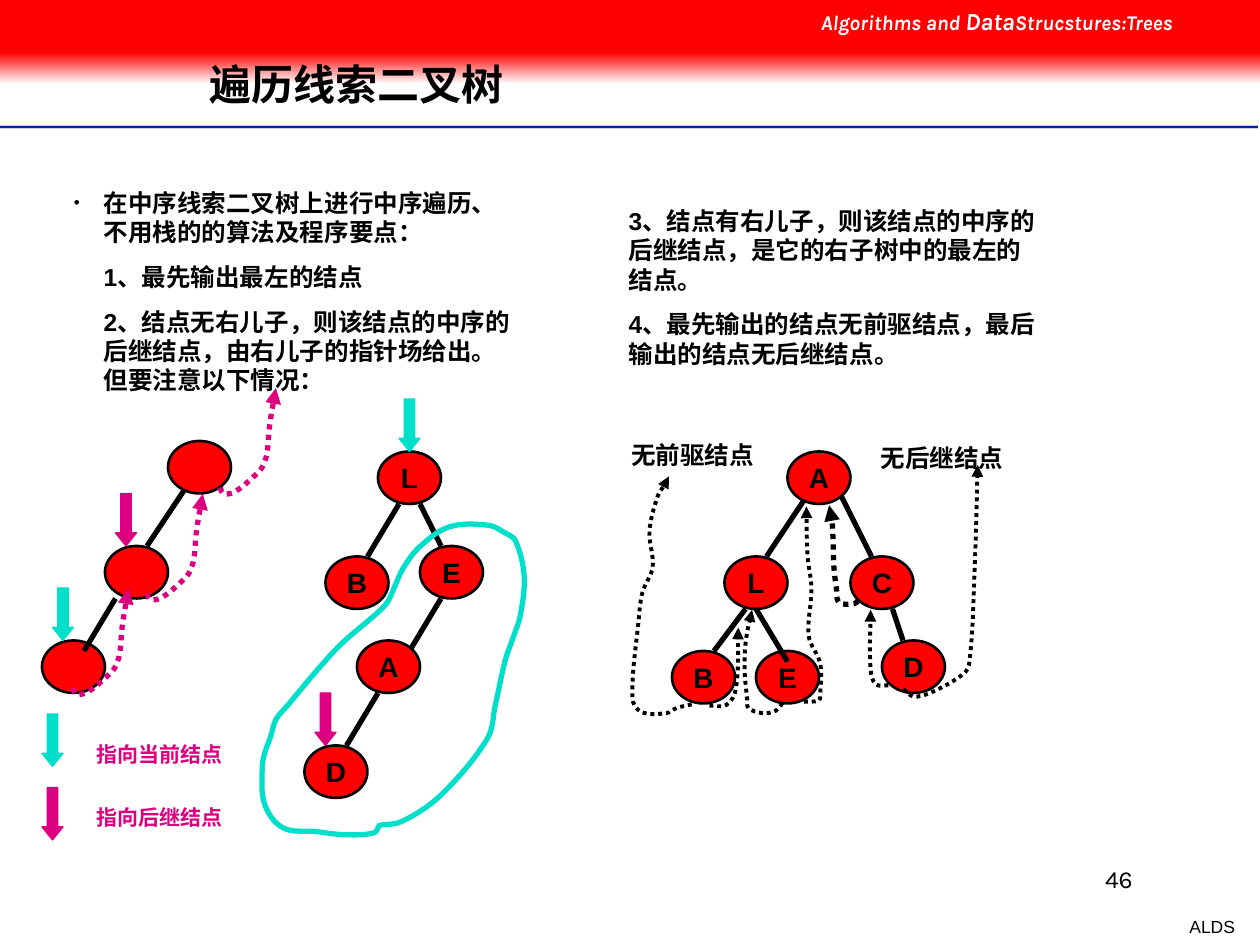
from dataclasses import dataclass
from math import dist

from lxml.etree import SubElement
from pptx import Presentation
from pptx.dml.color import RGBColor
from pptx.enum.dml import MSO_LINE
from pptx.enum.shapes import MSO_CONNECTOR, MSO_SHAPE
from pptx.enum.text import MSO_ANCHOR, MSO_AUTO_SIZE, PP_ALIGN
from pptx.oxml.ns import qn
from pptx.util import Pt

COLORS = {"red": "FF0000", "black": "000000", "white": "FFFFFF", "grey": "CECECE",
          "blue": "00279F", "teal": "00DFCA", "magenta": "DC0081"}
NODE_SIZE = (36, 30)
ARROW_SIZE = (12, 30)


@dataclass
class Node:
    x: float
    y: float
    label: str = ""


@dataclass
class Track:
    points: list
    color: str = "black"
    width: float = 2.25
    dotted: bool = True


@dataclass
class Label:
    box: tuple
    spans: list  # (text, size) pairs
    font: str = "Arial"
    color: str = "black"
    align: PP_ALIGN = PP_ALIGN.LEFT
    wrap: bool = True
    bold: bool = True
    italic: bool = False


def rgb(color: str) -> RGBColor:
    return RGBColor.from_string(COLORS[color])


def add_span(para, text: str, color: str = "black", **font_values) -> None:
    span = para.add_run()
    span.text = text
    for name, value in font_values.items():
        setattr(span.font, name, value)
    span.font.color.rgb = rgb(color)


def place(box, left: float, top: float, width: float, height: float) -> None:
    frame = {"left": left, "top": top, "width": width, "height": height}
    for name, value in frame.items():
        setattr(box, name, Pt(value))


def add_shape(page, kind, box: tuple, fill: str, outline: str = "", width: float = 0.75):
    shape = page.shapes.add_shape(kind, *map(Pt, box))
    shape.shadow.inherit = False
    shape.fill.solid()
    shape.fill.fore_color.rgb = rgb(fill)
    if outline:
        shape.line.color.rgb = rgb(outline)
        shape.line.width = Pt(width)
    else:
        shape.line.fill.background()
    return shape


def add_line(page, ends: tuple, color: str = "black", width: float = 3) -> None:
    line = page.shapes.add_connector(MSO_CONNECTOR.STRAIGHT, *map(Pt, ends))
    line.line.color.rgb = rgb(color)
    line.line.width = Pt(width)
    SubElement(line.element.spPr, qn("a:effectLst"))


def add_node(page, node: Node) -> None:
    shape = add_shape(page, MSO_SHAPE.OVAL, (node.x, node.y, *NODE_SIZE), "red", "black", 1.5)
    if node.label:
        shape.text_frame.word_wrap = False
        shape.text_frame.vertical_anchor = MSO_ANCHOR.MIDDLE
        para = shape.text_frame.paragraphs[0]
        para.alignment = PP_ALIGN.CENTER
        add_span(para, node.label, name="Arial", size=Pt(16), bold=True)


def add_down_arrow(page, x: float, y: float, color: str) -> None:
    arrow = add_shape(page, MSO_SHAPE.DOWN_ARROW, (x, y, *ARROW_SIZE), color, color)
    arrow.adjustments[0], arrow.adjustments[1] = 0.5, 0.62


def smooth(shape) -> None:
    """Turn each straight segment of a freeform into a curve through the same points."""
    segments = list(shape.element.iter(qn("a:moveTo"), qn("a:lnTo")))
    points = [(int(s[0].get("x")), int(s[0].get("y"))) for s in segments]
    tangents = []
    for i in range(len(points)):
        before, after = points[max(i - 1, 0)], points[min(i + 1, len(points) - 1)]
        length = dist(before, after) or 1
        tangents.append([(b - a) / length for a, b in zip(before, after)])
    for i, segment in enumerate(segments[1:], 1):
        reach = dist(points[i - 1], points[i]) / 3
        first = [p + t * reach for p, t in zip(points[i - 1], tangents[i - 1])]
        second = [p - t * reach for p, t in zip(points[i], tangents[i])]
        segment.tag = qn("a:cubicBezTo")
        segment.remove(segment[0])
        for x, y in (first, second, points[i]):
            SubElement(segment, qn("a:pt"), x=str(round(x)), y=str(round(y)))


def add_track(page, track: Track) -> None:
    start, *rest = [(Pt(x), Pt(y)) for x, y in track.points]
    builder = page.shapes.build_freeform(*start)
    builder.add_line_segments(rest, close=not track.dotted)
    shape = builder.convert_to_shape()
    smooth(shape)
    shape.shadow.inherit = False
    shape.fill.background()
    shape.line.color.rgb = rgb(track.color)
    shape.line.width = Pt(track.width)
    if track.dotted:
        shape.line.dash_style = MSO_LINE.ROUND_DOT
        SubElement(shape.element.spPr.find(qn("a:ln")), qn("a:tailEnd"), type="triangle")


def add_label(page, label: Label) -> None:
    frame = page.shapes.add_textbox(*map(Pt, label.box)).text_frame
    frame.word_wrap = label.wrap
    para = frame.paragraphs[0]
    para.alignment = label.align
    for text, size in label.spans:
        add_span(para, text, label.color, name=label.font, size=Pt(size),
                 bold=label.bold, italic=label.italic)


def fill_body(body, box: tuple, lines: list, bulleted: bool) -> None:
    place(body, *box)
    frame = body.text_frame
    frame.auto_size = MSO_AUTO_SIZE.NONE
    frame.vertical_anchor = MSO_ANCHOR.TOP
    for i, text in enumerate(lines):
        para = frame.add_paragraph() if i else frame.paragraphs[0]
        properties = para._p.get_or_add_pPr()
        has_bullet = bulleted and i == 0
        indents = {"marL": Pt(52), "indent": Pt(-17 if has_bullet else 0), "hangingPunct": 0}
        for name, value in indents.items():
            properties.set(name, str(value))
        if has_bullet:
            SubElement(SubElement(properties, qn("a:buClr")), qn("a:srgbClr"), val=COLORS["black"])
            SubElement(properties, qn("a:buSzPct"), val="70000")
            SubElement(properties, qn("a:buChar"), char="•")
        else:
            SubElement(properties, qn("a:buNone"))
        para.space_before = Pt(8.8 if i else 0)
        add_span(para, text, name="Arial", size=Pt(14), bold=True)


LEFT_LINES = ["在中序线索二叉树上进行中序遍历、不用栈的的算法及程序要点：", "1、最先输出最左的结点",
              "2、结点无右儿子，则该结点的中序的后继结点，由右儿子的指针场给出。但要注意以下情况："]
RIGHT_LINES = ["3、结点有右儿子，则该结点的中序的后继结点，是它的右子树中的最左的结点。",
               "4、最先输出的结点无前驱结点，最后输出的结点无后继结点。"]
NODES = [Node(24, 366), Node(60, 312), Node(96, 252),
         Node(186, 318, "B"), Node(174, 426, "D"), Node(240, 312, "E"), Node(216, 258, "L"),
         Node(204, 366, "A"), Node(384, 372, "B"), Node(486, 318, "C"), Node(504, 366, "D"),
         Node(432, 372, "E"), Node(414, 318, "L"), Node(450, 258, "A")]
EDGES_BEHIND = [(108, 276, 84, 312), (252, 342, 234, 372), (216, 396, 198, 426),
                (240, 288, 252, 312), (228, 288, 210, 318), (462, 282, 438, 318),
                (480, 282, 498, 318), (510, 348, 516, 366), (426, 348, 408, 372)]
EDGES_IN_FRONT = [(66, 342, 48, 372), (432, 348, 450, 378)]
SUCCESSOR_STARTS = [(84.2, 339.1), (41.8, 393.1), (126, 278.6)]
SUCCESSOR_STEPS = [(0, 0), (1.5, 3.5), (8.6, 2.2), (22.3, -9.4), (24.5, -13), (26.6, -19.4),
                   (28.1, -35.3), (31.7, -56.9)]
TRACKS = [Track([(x + dx, y + dy) for dx, dy in SUCCESSOR_STEPS], "magenta", 3)
          for x, y in SUCCESSOR_STARTS] + [
    Track([(490.3, 343.4), (488.2, 344.9), (479.5, 344.2), (478.1, 337), (476.6, 324.7),
           (475.9, 304.6), (475.2, 294.5), (473.8, 288.7)], width=3),
    Track([(507.6, 391.7), (500.4, 391), (497.5, 382.3), (497.5, 348.5)]),
    Track([(459.4, 401), (468, 400.3), (468.7, 397.4), (468.7, 379.1), (462.2, 363.6),
           (463.7, 336.2), (461.5, 317.5), (460.8, 289.4)]),
    Track([(447.1, 401.8), (443.5, 406.1), (435.6, 407.5), (427.7, 404.6), (427, 399.6),
           (425.5, 382.5), (426.2, 366.5), (429.8, 348.5)]),
    Track([(405.4, 403.2), (415.1, 402.8), (420.5, 393.8), (421.9, 358.6)]),
    Track([(516.2, 393.8), (522, 398), (531.4, 396), (548.6, 386.6), (553.7, 380.2),
           (557, 324), (558.7, 265.7)]),
    Track([(395.3, 402.5), (386.6, 404.6), (380.9, 407.5), (366.5, 406.8), (361.4, 398.9),
           (365, 354.2), (367.2, 338.4), (373, 324), (371.2, 303.5), (375.8, 283.7),
           (380.2, 276.5), (382.3, 272.2)]),
    Track([(216.7, 471.6), (229.7, 469.4), (252, 454.3), (278.6, 421.9), (283, 403.2),
           (288.7, 377.3), (293, 365), (297.4, 351.4), (299.5, 329), (294.5, 308.9),
           (288.7, 304.6), (279.4, 300.2), (257, 301), (239.8, 312.5), (230.4, 324.7),
           (225.4, 335.5), (220.3, 345.6), (195.1, 367.9), (179.3, 385.2), (164.9, 402.5),
           (157.7, 411.1), (154.8, 420.5), (151.2, 430.6), (149.8, 438.5), (151.2, 459.4),
           (161.6, 473), (180.7, 475.2), (197, 477), (213.8, 475.9), (216.7, 471.6)],
          "teal", 3, dotted=False)]
DOWN_ARROWS = [(30, 336, "teal"), (228, 228, "teal"), (180, 396, "magenta"),
               (66, 282, "magenta"), (24, 408, "teal"), (24, 450, "magenta")]
LABELS = [
    Label((462, 0, 258, 24.5), [("Algorithms and ", 12), ("Data", 14), ("Strucstures:Trees", 12)],
          "Karla", "white", italic=True),
    Label((672.5, 520, 40.3, 19.4), [("ALDS", 10)], align=PP_ALIGN.RIGHT, wrap=False, bold=False),
    Label((516.2, 490.3, 138.2, 36), [("46", 14)], "Karla", align=PP_ALIGN.RIGHT, bold=False),
    Label((348, 247.7, 90, 24.5), [("无前驱结点", 14)], align=PP_ALIGN.RIGHT),
    Label((490.5, 249.8, 90, 24.5), [("无后继结点", 14)], align=PP_ALIGN.RIGHT),
    Label((48, 420, 96, 21.6), [("指向当前结点", 12)], color="magenta"),
    Label((48, 456, 96, 21.6), [("指向后继结点", 12)], color="magenta")]


def add_banner(page) -> None:
    fade = add_shape(page, MSO_SHAPE.RECTANGLE, (0, 30, 720, 18), "red")
    fade.fill.gradient()
    fade.fill.gradient_angle = 270
    for stop, color in zip(fade.fill.gradient_stops, ("red", "white")):
        stop.color.rgb = rgb(color)
    add_shape(page, MSO_SHAPE.RECTANGLE, (0, 0, 720, 30), "red")
    for y, color, width in ((72.7, "grey", 2), (72.7, "blue", 1), (74.2, "white", 1)):
        add_line(page, (0, y, 718.6, y), color, width)


def main() -> None:
    deck = Presentation()
    deck.slide_width, deck.slide_height = Pt(720), Pt(540)
    page = deck.slides.add_slide(deck.slide_layouts[3])
    title, left_body, right_body = page.placeholders
    add_banner(page)
    for holder in (title, left_body, right_body):
        page.shapes.element.append(holder.element)  # in front of the banner

    place(title, 112.3, 22.7, 543.6, 53.3)
    title.text_frame.auto_size = MSO_AUTO_SIZE.NONE
    title.text_frame.vertical_anchor = MSO_ANCHOR.MIDDLE
    heading = title.text_frame.paragraphs[0]
    heading.alignment, heading.line_spacing = PP_ALIGN.LEFT, 0.9
    add_span(heading, "遍历线索二叉树", name="Arial", size=Pt(24), bold=True)
    fill_body(left_body, (0, 103.6, 300, 125), LEFT_LINES, True)
    fill_body(right_body, (300, 114, 300, 100), RIGHT_LINES, False)

    for edge in EDGES_BEHIND:
        add_line(page, edge)
    for node in NODES:
        add_node(page, node)
    for edge in EDGES_IN_FRONT:
        add_line(page, edge)
    for track in TRACKS:
        add_track(page, track)
    for arrow in DOWN_ARROWS:
        add_down_arrow(page, *arrow)
    for label in LABELS:
        add_label(page, label)
    deck.save("out.pptx")


if __name__ == "__main__":
    main()
